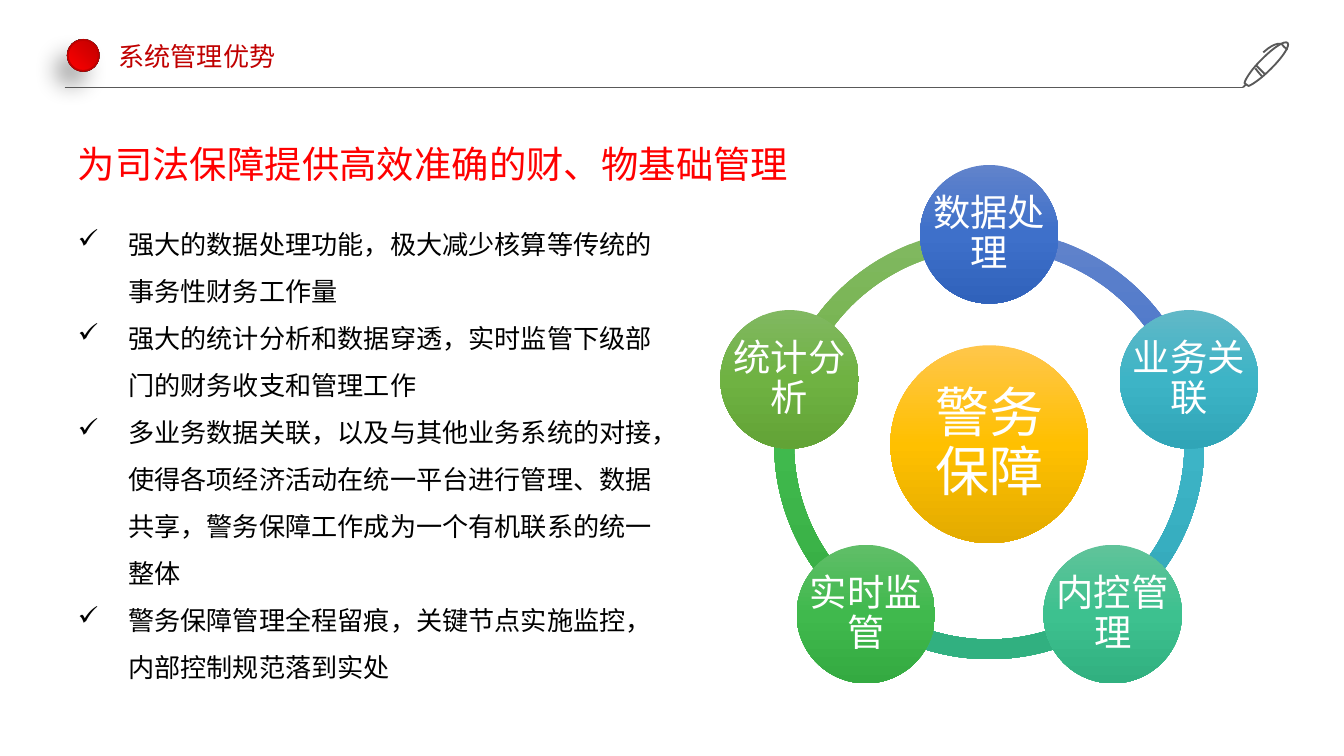
from dataclasses import dataclass
from math import cos, radians, sin

from lxml.etree import SubElement
from pptx import Presentation
from pptx.dml.color import RGBColor
from pptx.enum.shapes import MSO_CONNECTOR, MSO_SHAPE
from pptx.enum.text import MSO_ANCHOR, PP_ALIGN
from pptx.oxml.ns import qn
from pptx.util import Pt


@dataclass(frozen=True)
class Theme:
    font: str = "Noto Sans CJK SC"
    title: str = "C00000"
    heading: str = "FF0000"
    body: str = "000000"
    label: str = "FFFFFF"
    rule: str = "595959"
    dot_shade: tuple = ("595959", "262626")
    dot: tuple = ("C00000", "FF0000")
    hub: tuple = ("FFC64B", "FFC000", "E3AB00")
    small: int = 14
    large: int = 20
    hub_size: int = 29


THEME = Theme()

POINTS = [
    "强大的数据处理功能，极大减少核算等传统的事务性财务工作量",
    "强大的统计分析和数据穿透，实时监管下级部门的财务收支和管理工作",
    "多业务数据关联，以及与其他业务系统的对接，使得各项经济活动在统一平台进行管理、"
    "数据共享，警务保障工作成为一个有机联系的统一整体",
    "警务保障管理全程留痕，关键节点实施监控，内部控制规范落到实处",
]

# Clockwise from the top
NODES = [
    ("数据处理", ("6183CB", "3E70CA", "3062BB")),
    ("业务关联", ("61B8C7", "3DB4C6", "30A5B7")),
    ("内控管理", ("60C39A", "3DC18F", "31B080")),
    ("实时监管", ("60BE68", "40B94D", "34AA41")),
    ("统计分析", ("81B861", "6FB242", "62A336")),
]
CENTRE = (530, 238)
RING_RADIUS, ORBIT_RADIUS = 115.2, 112.5
HUB_RADIUS, NODE_RADIUS = 53, 37.1

# Pen strokes: a start point, then cubic segments (two controls and an end)
PEN = [
    [(676.1, 41), [(672.5, 36.7)] * 3],
    [(673.2, 35.3), [(677.5, 39.6)] * 3],
    [(689.8, 23),
     [(688.3, 21.6), (682.6, 25.2), (676.1, 31.7)],
     [(671, 36.7), (667.4, 41.8), (666.7, 44.6)],
     [(668.9, 46.1)] * 3,
     [(671, 45.4), (676.1, 41.8), (681.1, 36.7)],
     [(687.6, 30.2), (691.2, 24.5), (689.8, 23)]],
    [(667.4, 45.4), [(666, 46.8)] * 3],
    [(689.8, 26.6),
     [(689.8, 26.6), (687.6, 25.2), (686.9, 23.8)],
     [(686.9, 23.8), (684, 21.6), (676.8, 28.1)]],
]


def colour(code):
    return RGBColor.from_string(code)


def fill_gradient(shape, codes, circular=False):
    """Spread the colours evenly, downwards or out from the lower left corner."""
    shape.fill.gradient()
    gradient = shape.element.spPr.find(qn("a:gradFill"))
    for child in list(gradient):
        gradient.remove(child)
    stops = SubElement(gradient, qn("a:gsLst"))
    for index, code in enumerate(codes):
        position = 100000 * index // (len(codes) - 1)
        stop = SubElement(stops, qn("a:gs"), pos=str(position))
        SubElement(stop, qn("a:srgbClr"), val=code)
    if circular:
        path_element = SubElement(gradient, qn("a:path"), path="circle")
        SubElement(path_element, qn("a:fillToRect"), l="100000", b="100000")
    else:
        SubElement(gradient, qn("a:lin"), ang="5400000", scaled="0")


def add_round(shapes, kind, centre, radius, codes, circular=False):
    x, y = centre
    shape = shapes.add_shape(kind, Pt(x - radius), Pt(y - radius),
                             Pt(2 * radius), Pt(2 * radius))
    shape.shadow.inherit = False
    shape.line.fill.background()
    fill_gradient(shape, codes, circular)
    return shape


def add_shadow(shape):
    effects = shape.element.spPr.find(qn("a:effectLst"))
    shadow = SubElement(effects, qn("a:outerShdw"), blurRad=str(Pt(12)),
                        dist=str(Pt(10)), dir=str(130 * 60000),
                        algn="ctr", rotWithShape="0")
    tint = SubElement(shadow, qn("a:srgbClr"), val="000000")
    SubElement(tint, qn("a:alpha"), val="32000")


def add_text(shapes, lines, left, top, width, height, *, size, tint, wrap=True,
             inset=(7.2, 3.6), align=None, anchor=MSO_ANCHOR.TOP,
             spacing=None, bullet=None):
    box = shapes.add_textbox(Pt(left), Pt(top), Pt(width), Pt(height))
    frame = box.text_frame
    frame.word_wrap = wrap
    frame.vertical_anchor = anchor
    frame.margin_left = frame.margin_right = Pt(inset[0])
    frame.margin_top = frame.margin_bottom = Pt(inset[1])
    for index, line in enumerate(lines):
        para = frame.add_paragraph() if index else frame.paragraphs[0]
        para.text = line
        para.alignment = align
        para.line_spacing = spacing
        if bullet:
            props = para._p.get_or_add_pPr()
            props.set("marL", str(Pt(27)))
            props.set("indent", str(Pt(-27)))
            SubElement(props, qn("a:buChar"), char=bullet)
        for span in para.runs:
            span.font.size = Pt(size)
            span.font.color.rgb = colour(tint)
            span.font.name = THEME.font
            SubElement(span._r.get_or_add_rPr(), qn("a:ea"), typeface=THEME.font)


def add_label(shapes, text, centre, radius, size):
    x, y = centre
    add_text(shapes, [text], x - radius, y - radius, 2 * radius, 2 * radius,
             size=size, tint=THEME.label, inset=(2.2, 2.2),
             align=PP_ALIGN.CENTER, anchor=MSO_ANCHOR.MIDDLE, spacing=0.9)


def add_rule(page):
    rule = page.shapes.add_connector(MSO_CONNECTOR.STRAIGHT, Pt(34.6), Pt(46.8),
                                     Pt(666), Pt(46.8))
    rule.line.color.rgb = colour(THEME.rule)
    rule.line.width = Pt(0.5)
    SubElement(rule.element.spPr, qn("a:effectLst"))


def sample_curve(start, first, second, end, steps=8):
    for step in range(1, steps + 1):
        t = step / steps
        weights = ((1 - t) ** 3, 3 * t * (1 - t) ** 2, 3 * t * t * (1 - t), t ** 3)
        yield tuple(Pt(sum(w * point[axis] for w, point in
                           zip(weights, (start, first, second, end))))
                    for axis in (0, 1))


def add_pen(page):
    builder = None
    for start, *curves in PEN:
        x, y = Pt(start[0]), Pt(start[1])
        if builder is None:
            builder = page.shapes.build_freeform(x, y)
        else:
            builder.move_to(x, y)
        for curve in curves:
            builder.add_line_segments(list(sample_curve(start, *curve)), close=False)
            start = curve[-1]
    pen = builder.convert_to_shape()
    pen.shadow.inherit = False
    pen.fill.background()
    pen.line.color.rgb = colour(THEME.rule)
    pen.line.width = Pt(1)


def add_dot(page):
    shapes = page.shapes.add_group_shape().shapes
    shade = add_round(shapes, MSO_SHAPE.OVAL, (44.6, 29.7), 8.7, THEME.dot_shade, True)
    add_shadow(shade)
    dot = add_round(shapes, MSO_SHAPE.OVAL, (44.6, 29.7), 8.3, THEME.dot, True)
    dot.line.color.rgb = colour(THEME.title)
    dot.line.width = Pt(1)


def add_cycle(page):
    shapes = page.shapes.add_group_shape().shapes
    sweep = 360 / len(NODES)
    angles = [270 + sweep * index for index in range(len(NODES))]
    for angle, (_, codes) in reversed(list(zip(angles, NODES))):
        arc = add_round(shapes, MSO_SHAPE.BLOCK_ARC, CENTRE, RING_RADIUS, codes)
        # Angles are stored in 60000ths of a degree, adjustments in 100000ths
        arc.adjustments[0] = angle % 360 * 0.6
        arc.adjustments[1] = (angle + sweep) % 360 * 0.6
        arc.adjustments[2] = 0.046
    add_round(shapes, MSO_SHAPE.OVAL, CENTRE, HUB_RADIUS, THEME.hub)
    add_label(shapes, "警务\v保障", CENTRE, HUB_RADIUS, THEME.hub_size)
    for angle, (text, codes) in zip(angles, NODES):
        spot = (CENTRE[0] + ORBIT_RADIUS * cos(radians(angle)),
                CENTRE[1] + ORBIT_RADIUS * sin(radians(angle)))
        add_round(shapes, MSO_SHAPE.OVAL, spot, NODE_RADIUS, codes)
        add_label(shapes, text, spot, NODE_RADIUS, THEME.large)


def main():
    deck = Presentation()
    deck.slide_width, deck.slide_height = Pt(720), Pt(405)
    page = deck.slides.add_slide(deck.slide_layouts[6])
    add_dot(page)
    add_rule(page)
    add_pen(page)
    add_text(page.shapes, ["系统管理优势"], 58.5, 18.7, 95.8, 22.3, wrap=False,
             inset=(5, 2.9), size=THEME.small, tint=THEME.title)
    add_text(page.shapes, POINTS, 34.6, 110.2, 333.4, 262, size=THEME.small,
             tint=THEME.body, spacing=1.5, bullet="✓")
    add_cycle(page)
    add_text(page.shapes, ["为司法保障提供高效准确的财、物基础管理"], 34.6, 72, 398, 31.7,
             wrap=False, size=THEME.large, tint=THEME.heading)
    deck.save("out.pptx")


if __name__ == "__main__":
    main()
